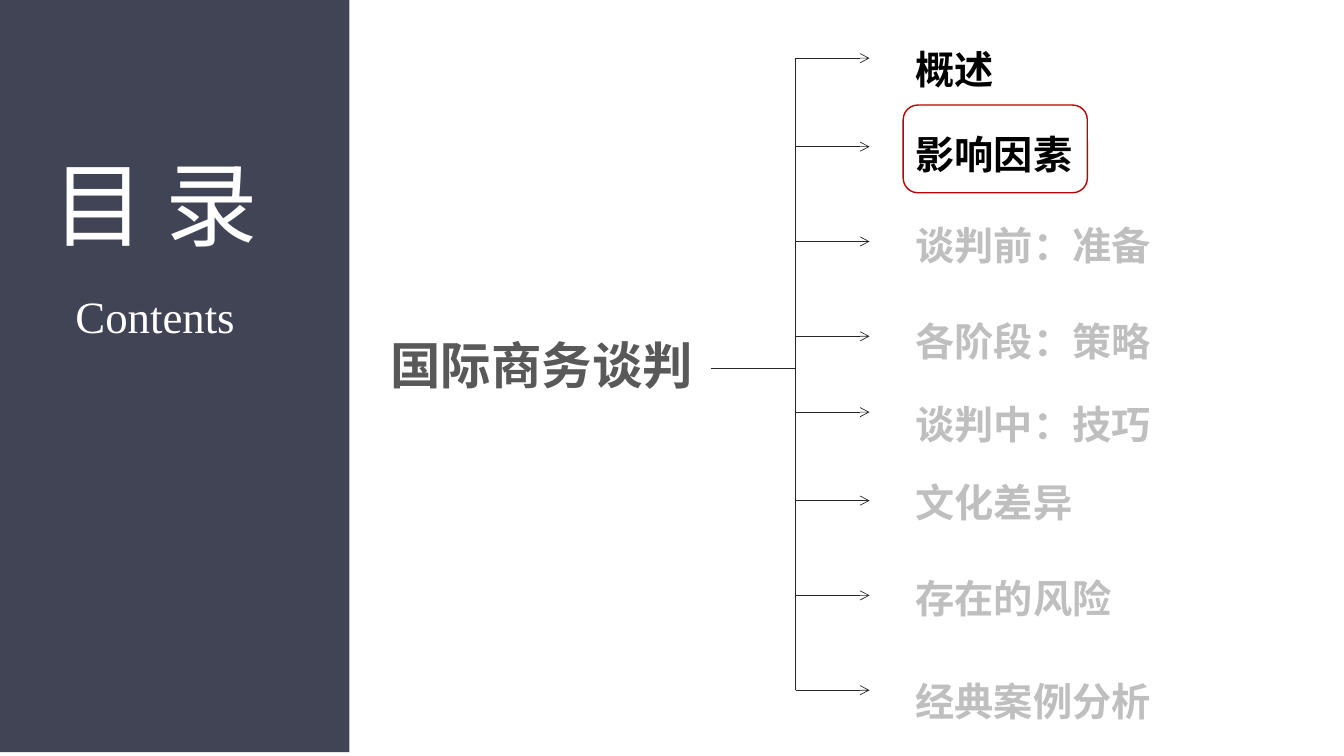
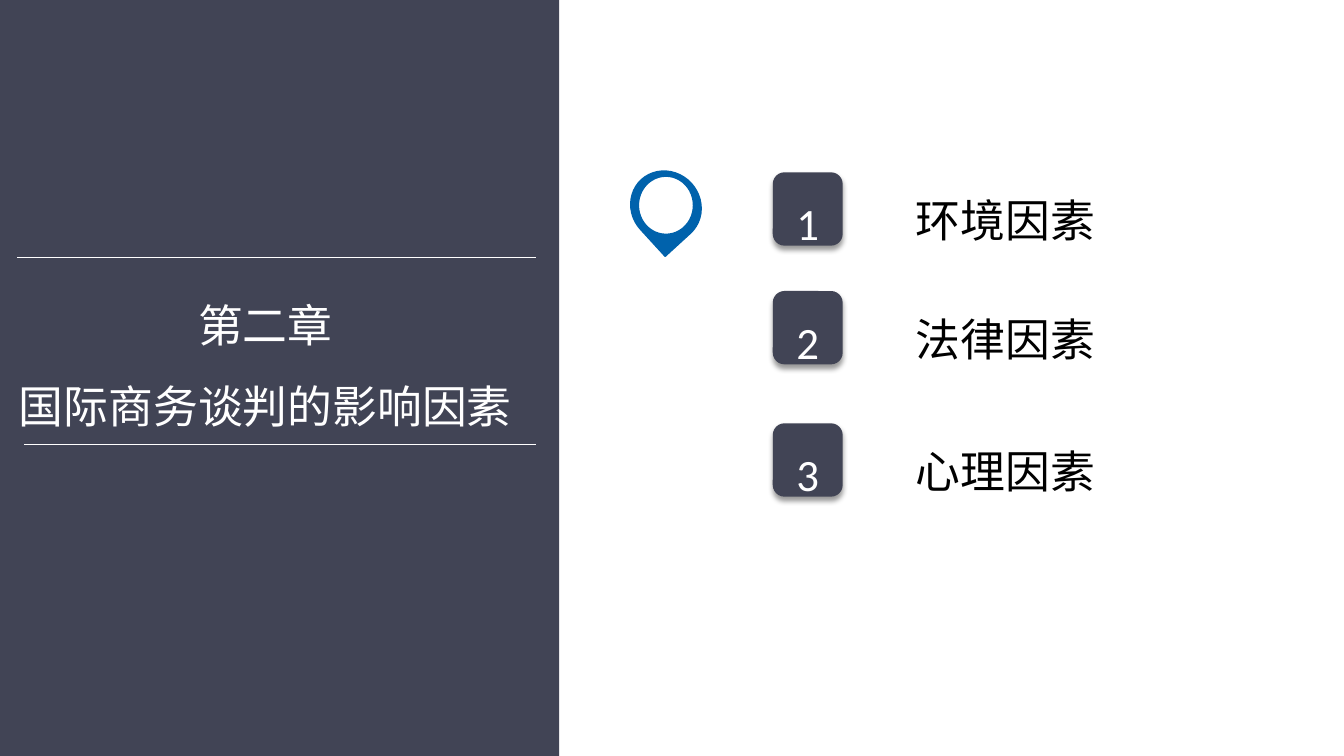
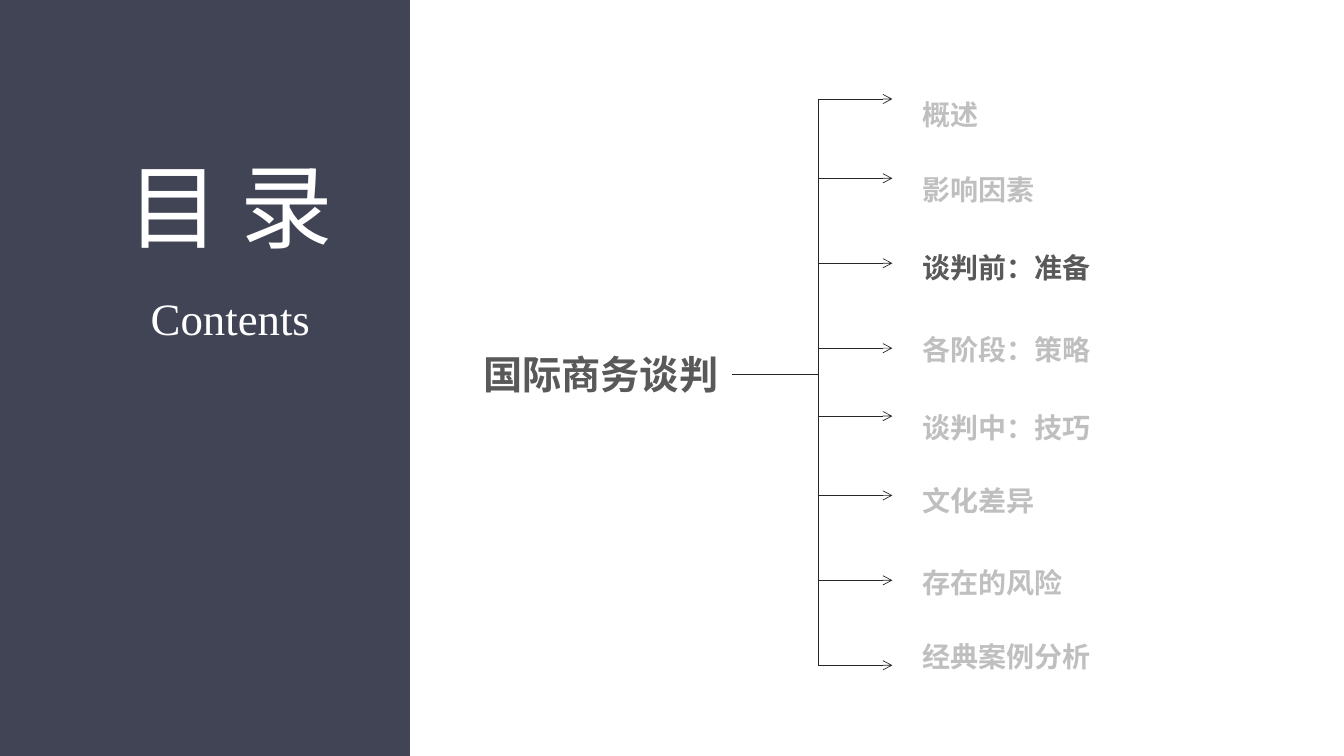
from dataclasses import dataclass

from lxml import etree
from pptx import Presentation
from pptx.dml.color import RGBColor
from pptx.enum.shapes import MSO_CONNECTOR, MSO_SHAPE
from pptx.enum.text import MSO_ANCHOR, MSO_AUTO_SIZE, PP_ALIGN
from pptx.oxml.ns import qn
from pptx.util import Inches, Pt

# Colours
NAVY = RGBColor(0x41, 0x44, 0x55)
BLUE = RGBColor(0x00, 0x62, 0xAC)
RED = RGBColor(0xC0, 0x00, 0x00)
WHITE = RGBColor(0xFF, 0xFF, 0xFF)
BLACK = RGBColor(0x00, 0x00, 0x00)
DARK_GRAY = RGBColor(0x59, 0x59, 0x59)
LIGHT_GRAY = RGBColor(0xBF, 0xBF, 0xBF)
LINE_GRAY = RGBColor(0x26, 0x26, 0x26)

# Fonts
SERIF = "Times New Roman"
CHINESE = "Noto Sans CJK SC"
LABEL_FONT = "Cabin"
NUMBER_FONT = "Calibri"

# Enum members
RECTANGLE = MSO_SHAPE.RECTANGLE
ROUNDED = MSO_SHAPE.ROUNDED_RECTANGLE
TEARDROP = MSO_SHAPE.TEAR
ELLIPSE = MSO_SHAPE.OVAL
STRAIGHT = MSO_CONNECTOR.STRAIGHT
LEFT, CENTER = PP_ALIGN.LEFT, PP_ALIGN.CENTER
MIDDLE = MSO_ANCHOR.MIDDLE
GROW = MSO_AUTO_SIZE.SHAPE_TO_FIT_TEXT

# Every position and length is a percentage of the slide's size
SLIDE_WIDTH = Inches(13.33)
SLIDE_HEIGHT = Inches(7.5)

# Topics with the width of their labels
TOPICS = [
    ("概述", 16.4),
    ("影响因素", 23.6),
    ("谈判前：准备", 23.6),
    ("各阶段：策略", 28.4),
    ("谈判中：技巧", 23.6),
    ("文化差异", 16.4),
    ("存在的风险", 23.6),
    ("经典案例分析", 27.5),
]
# Branch positions as shares of the trunk's height
BRANCHES = [0, 0.14, 0.29, 0.44, 0.56, 0.7, 0.85, 1]
ARROW_LENGTH = 5.5


@dataclass
class ContentsLayout:
    panel_top: float
    panel_width: float
    title_left: float
    title_top: float
    root_box: tuple
    root_size: int
    root_line: tuple
    trunk: tuple
    label_left: float
    label_tops: list
    label_height: float
    label_size: int
    active: dict


OVERVIEW = ContentsLayout(
    panel_top=-0.5, panel_width=26, title_left=2.1, title_top=18.8,
    root_box=(28.2, 43.5, 24.2, 9.5), root_size=36, root_line=(52.9, 48.7),
    trunk=(59.2, 7.7, 91.3), label_left=67.6,
    label_tops=[2.3, 13.6, 25.6, 38.3, 49.3, 59.6, 72.3, 86],
    label_height=10.4, label_size=28, active={0: BLACK, 1: BLACK})

PREPARATION = ContentsLayout(
    panel_top=0, panel_width=30.5, title_left=7.7, title_top=19.1,
    root_box=(34.2, 45.7, 21, 7.6), root_size=28, root_line=(54.5, 49.5),
    trunk=(60.9, 13.1, 88), label_left=68.1,
    label_tops=[10.5, 20.5, 30.8, 41.6, 51.9, 61.6, 72.5, 82.3],
    label_height=6.9, label_size=20, active={2: DARK_GRAY})


def across(share):
    return round(SLIDE_WIDTH * share / 100)


def down(share):
    return round(SLIDE_HEIGHT * share / 100)


def place(box):
    left, top, width, height = box
    return across(left), down(top), across(width), down(height)


def add_box(slide, kind, box, fill=None, line=None):
    shape = slide.shapes.add_shape(kind, *place(box))
    shape.shadow.inherit = False
    if fill is None:
        shape.fill.background()
    else:
        shape.fill.solid()
        shape.fill.fore_color.rgb = fill
    if line is None:
        shape.line.fill.background()
    else:
        shape.line.color.rgb = line
        shape.line.width = Pt(1)
    return shape


def add_line(slide, start, end, color, arrow=False):
    connector = slide.shapes.add_connector(
        STRAIGHT, across(start[0]), down(start[1]), across(end[0]), down(end[1]))
    connector.line.color.rgb = color
    connector.line.width = Pt(0.5)
    properties = connector._element.spPr
    if arrow:
        outline = properties.find(qn("a:ln"))
        etree.SubElement(outline, qn("a:tailEnd"), type="arrow")
    etree.SubElement(properties, qn("a:effectLst"))


def write(shape, text, size, font, color, align=LEFT, bold=False, spacing=None):
    frame = shape.text_frame
    frame.text = text
    for paragraph in frame.paragraphs:
        paragraph.alignment = align
        paragraph.line_spacing = spacing
        for run in paragraph.runs:
            run.font.size = Pt(size)
            run.font.bold = bold
            run.font.color.rgb = color
            run.font.name = font
            etree.SubElement(run.font._element, qn("a:ea"), typeface=CHINESE)


def add_text(slide, box, *content, wrap=False, **style):
    text_box = slide.shapes.add_textbox(*place(box))
    text_box.text_frame.word_wrap = wrap
    text_box.text_frame.auto_size = GROW
    write(text_box, *content, **style)
    return text_box


def add_label(slide, box, text, size, color):
    label = add_text(slide, box, text, size, LABEL_FONT, color,
                     wrap=True, bold=True, spacing=1.5)
    frame = label.text_frame
    frame.vertical_anchor = MIDDLE
    frame.margin_left = frame.margin_right = Inches(0.07)
    frame.margin_top = frame.margin_bottom = Inches(0.04)


def add_badge(slide, box, number):
    badge = add_box(slide, ROUNDED, box, NAVY)
    effects = badge._element.spPr.find(qn("a:effectLst"))
    shadow = etree.SubElement(
        effects, qn("a:outerShdw"), blurRad=str(int(Pt(4))), dist=str(int(Pt(3))),
        dir="5400000", algn="t", rotWithShape="0")
    color = etree.SubElement(shadow, qn("a:srgbClr"), val=str(BLACK))
    etree.SubElement(color, qn("a:alpha"), val="40000")
    badge.text_frame.vertical_anchor = MIDDLE
    write(badge, str(number), 32, NUMBER_FONT, WHITE, align=CENTER, spacing=1.5)


def add_pin(slide):
    drop = add_box(slide, TEARDROP, (47, 22.5, 5.1, 9.6), BLUE, BLUE)
    drop.rotation = 137.5
    add_box(slide, ELLIPSE, (47.5, 23.3, 4.1, 7.7), WHITE, BLUE)


def add_tree(slide, layout):
    trunk_x, trunk_top, trunk_bottom = layout.trunk
    add_line(slide, (trunk_x, trunk_top), (trunk_x, trunk_bottom), LINE_GRAY)
    add_line(slide, layout.root_line, (trunk_x, layout.root_line[1]), LINE_GRAY)
    for index, (topic, width) in enumerate(TOPICS):
        y = trunk_top + BRANCHES[index] * (trunk_bottom - trunk_top)
        add_line(slide, (trunk_x, y), (trunk_x + ARROW_LENGTH, y), LINE_GRAY, arrow=True)
        box = (layout.label_left, layout.label_tops[index], width, layout.label_height)
        color = layout.active.get(index, LIGHT_GRAY)
        add_label(slide, box, topic, layout.label_size, color)


def add_slide(presentation):
    return presentation.slides.add_slide(presentation.slide_layouts[6])


def contents_slide(presentation, layout):
    slide = add_slide(presentation)
    left, top = layout.title_left, layout.title_top
    # Side panel
    add_box(slide, RECTANGLE, (0, layout.panel_top, layout.panel_width, 100), NAVY)
    add_text(slide, (left, top, 18.9, 16.1), "目 录", 66, CHINESE, WHITE, align=CENTER)
    add_text(slide, (left + 2.7, top + 18.7, 13.5, 8.5),
             "Contents", 32, SERIF, WHITE, align=CENTER)
    # Topic tree
    add_text(slide, layout.root_box, "国际商务谈判", layout.root_size,
             CHINESE, DARK_GRAY, align=CENTER, bold=True)
    add_tree(slide, layout)
    return slide


def chapter_slide(presentation):
    slide = add_slide(presentation)
    # Chapter panel
    add_box(slide, RECTANGLE, (0, 0, 41.6, 100), NAVY)
    add_text(slide, (-0.4, 35.2, 40.3, 21.5), "第二章\n国际商务谈判的影响因素",
             32, SERIF, WHITE, wrap=True, align=CENTER, spacing=1.5)
    for left, y in [(1.3, 34), (1.8, 58.8)]:
        add_line(slide, (left, y), (39.9, y), WHITE)
    # Numbered factors
    factors = [("环境因素", 22.8), ("法律因素", 38.5), ("心理因素", 56)]
    for number, (factor, top) in enumerate(factors, 1):
        add_badge(slide, (57.5, top, 5.2, 9.7), number)
        add_text(slide, (67.4, top - 1.5, 15, 12), factor, 32, CHINESE, BLACK, spacing=1.5)
    add_pin(slide)


def main():
    presentation = Presentation()
    presentation.slide_width = SLIDE_WIDTH
    presentation.slide_height = SLIDE_HEIGHT
    overview = contents_slide(presentation, OVERVIEW)
    # Frame around the current topic
    add_box(overview, ROUNDED, (67.2, 13.9, 13.7, 11.6), line=RED)
    chapter_slide(presentation)
    contents_slide(presentation, PREPARATION)
    presentation.save("out.pptx")


if __name__ == "__main__":
    main()
